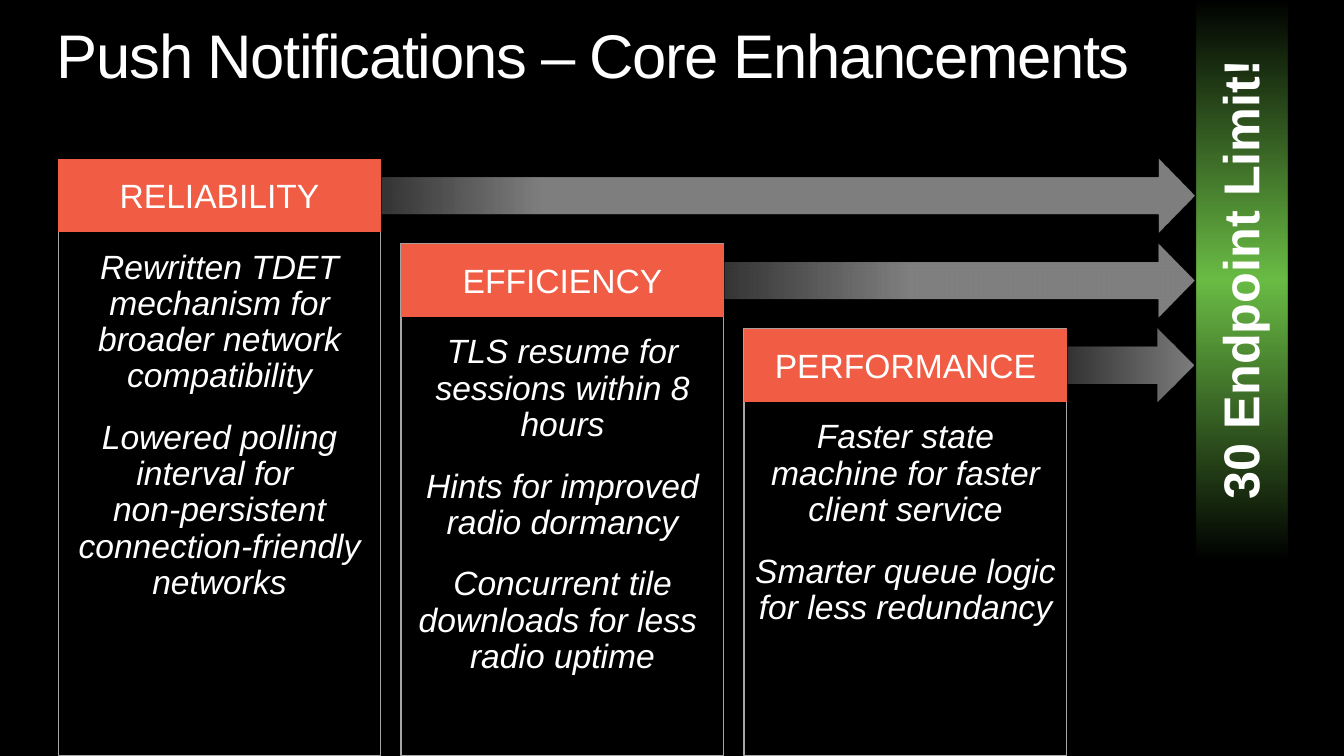
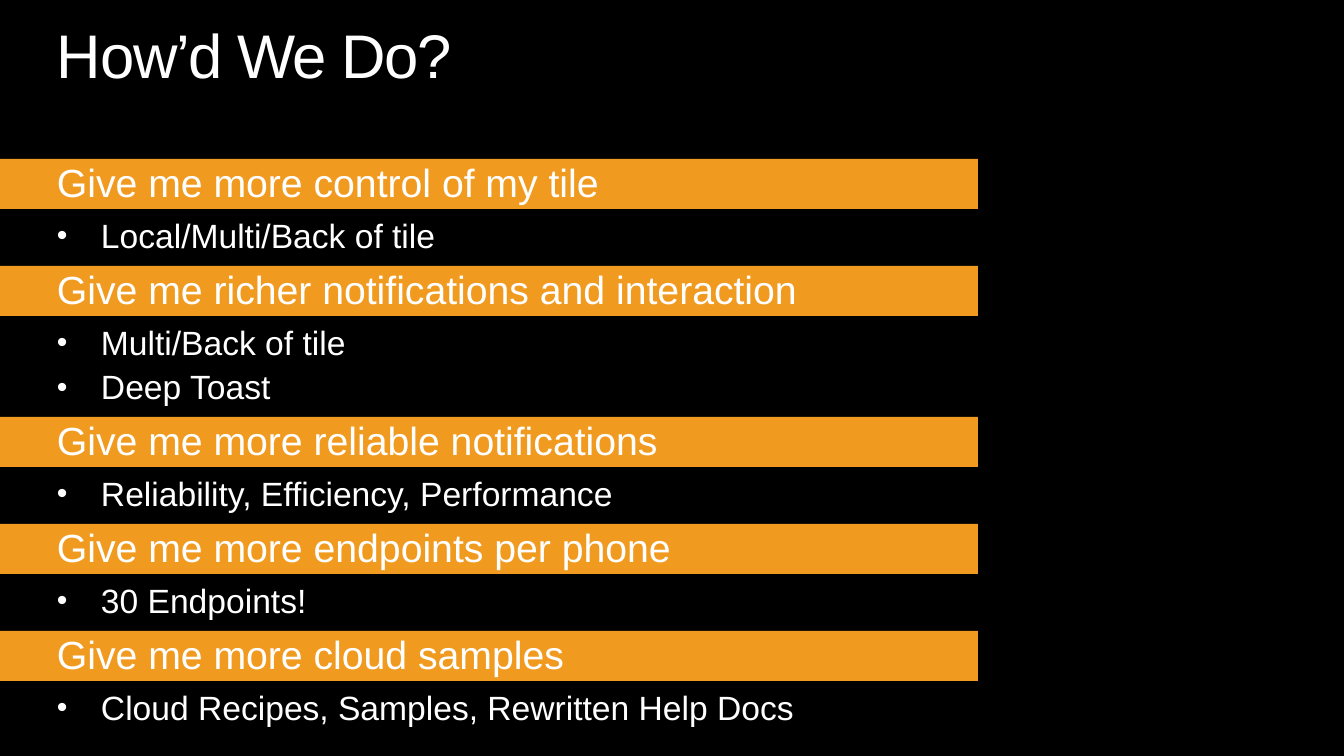
from pptx import Presentation
from pptx.dml.color import RGBColor
from pptx.enum.shapes import MSO_SHAPE
from pptx.enum.text import MSO_ANCHOR, MSO_AUTO_SIZE, PP_ALIGN
from pptx.oxml import parse_xml
from pptx.oxml.ns import nsdecls, qn
from pptx.util import Emu, Pt

EMU_PER_PX = 914400 / 100.8
SLIDE_W, SLIDE_H = 1344, 756
MARGIN, CONTENT_TOP = 57, 159

FONT = "Arial"
BLACK = RGBColor(0x00, 0x00, 0x00)
WHITE = RGBColor(0xFF, 0xFF, 0xFF)
GREY = RGBColor(0xA6, 0xA6, 0xA6)
RED = RGBColor(0xF1, 0x5C, 0x44)
GREEN = RGBColor(0x6B, 0xBD, 0x46)
ORANGE = RGBColor(0xF0, 0x9B, 0x20)


def px(length):
    return Emu(round(length * EMU_PER_PX))


class Deck:
    """Holds the shared style and the slide being built."""

    def __init__(self):
        self.prs = Presentation()
        self.prs.slide_width, self.prs.slide_height = px(SLIDE_W), px(SLIDE_H)
        background = self.prs.slide_master.background.fill
        background.solid()
        background.fore_color.rgb = BLACK
        self.slide = None

    def new_slide(self, title):
        self.slide = self.prs.slides.add_slide(self.prs.slide_layouts[5])
        heading = self.slide.shapes.title
        heading.left, heading.top = px(MARGIN), px(25)
        heading.width, heading.height = px(1229), px(68)
        self.set_text(heading, [title], 44, anchor=MSO_ANCHOR.TOP)
        for run in heading.text_frame.paragraphs[0].runs:
            run.font._element.set("spc", "-100")

    def set_text(self, shape, lines, size, align=PP_ALIGN.LEFT, insets=(0, 0, 0, 0),
                 anchor=MSO_ANCHOR.MIDDLE, gap=0, spacing=0.9, bold=False, italic=False):
        frame = shape.text_frame
        frame.word_wrap = True
        frame.auto_size = MSO_AUTO_SIZE.NONE
        frame.vertical_anchor = anchor
        (frame.margin_left, frame.margin_top,
         frame.margin_right, frame.margin_bottom) = map(px, insets)
        for number, line in enumerate(lines):
            paragraph = frame.add_paragraph() if number else frame.paragraphs[0]
            paragraph.alignment = align
            paragraph.line_spacing = spacing
            paragraph.space_before = Pt(gap if number else 0)
            for part_number, part in enumerate(line.split("\n")):
                if part_number:
                    paragraph.add_line_break()
                run = paragraph.add_run()
                run.text = part
                run.font.name, run.font.size = FONT, Pt(size)
                run.font.bold, run.font.italic = bold, italic
                run.font.color.rgb = WHITE

    def shape(self, left, top, width, height, fill=None, kind=MSO_SHAPE.RECTANGLE):
        shape = self.slide.shapes.add_shape(kind, px(left), px(top), px(width), px(height))
        shape.shadow.inherit = False
        shape.line.fill.background()
        if fill is not None:
            shape.fill.solid()
            shape.fill.fore_color.rgb = fill
        return shape

    def gradient(self, shape, color, stops, angle=0):
        """Fill with one colour; stops are (position %, opacity %)."""
        marks = "".join(
            f'<a:gs pos="{position * 1000}"><a:srgbClr val="{color}">'
            f'<a:alpha val="{opacity * 1000}"/></a:srgbClr></a:gs>'
            for position, opacity in stops)
        shape.fill.gradient()
        old = shape._element.spPr.find(qn("a:gradFill"))
        old.getparent().replace(old, parse_xml(
            f'<a:gradFill {nsdecls("a")} rotWithShape="1"><a:gsLst>{marks}</a:gsLst>'
            f'<a:lin ang="{angle * 60000}" scaled="0"/></a:gradFill>'))

    def arrow(self, left, top, right, height, fade_end):
        arrow = self.shape(left, top, right - left, height, kind=MSO_SHAPE.RIGHT_ARROW)
        self.gradient(arrow, WHITE, [(0, 20), (fade_end, 50)])

    def card(self, left, top, width, header_height, name, points):
        body = self.shape(left, top, width, SLIDE_H - top)
        self.gradient(body, BLACK, [(0, 60), (50, 40), (92, 0)], angle=90)
        body.line.color.rgb = GREY
        body.line.width = Pt(0.75)
        self.set_text(body, points, 24, PP_ALIGN.CENTER, (10, 91, 10, 5),
                      MSO_ANCHOR.TOP, gap=18, italic=True)
        header = self.shape(left, top, width, header_height, RED)
        self.set_text(header, [name], 24, PP_ALIGN.CENTER, (10, 5, 10, 5), spacing=1.0)

    def side_banner(self, text):
        banner = self.shape(963, 234, 558, 91)
        banner.rotation = 270
        self.gradient(banner, GREEN, [(0, 0), (50, 100), (100, 0)])
        self.set_text(banner, [text], 36, PP_ALIGN.CENTER, (20, 7, 20, 5), bold=True)

    def band(self, top, text):
        band = self.shape(0, top, 978, 50, ORANGE)
        self.set_text(band, [text], 28, insets=(MARGIN, 2, 10, 0))

    def bullets(self, top, height, items):
        box = self.slide.shapes.add_textbox(px(MARGIN), px(top), px(907), px(height))
        self.set_text(box, items, 24, anchor=MSO_ANCHOR.TOP, gap=6)
        for paragraph in box.text_frame.paragraphs:
            properties = paragraph._p.get_or_add_pPr()
            properties.set("marL", str(px(44)))
            properties.set("indent", str(-px(44)))
            for tag, value in (("buSzPct", 'val="90000"'),
                               ("buFont", f'typeface="{FONT}"'),
                               ("buChar", 'char="•"')):
                properties.append(parse_xml(f'<a:{tag} {nsdecls("a")} {value}/>'))


def build_enhancements(deck):
    deck.new_slide("Push Notifications – Core Enhancements")
    card_width, header_height, arrow_tip = 323, 73, 1194
    enhancements = [
        ("RELIABILITY", 20, [
            "Rewritten TDET mechanism for broader network compatibility",
            "Lowered polling interval for \nnon-persistent connection-friendly networks"]),
        ("EFFICIENCY", 40, [
            "TLS resume for sessions within 8 hours",
            "Hints for improved radio dormancy",
            "Concurrent tile downloads for less \nradio uptime"]),
        ("PERFORMANCE", 100, [
            "Faster state machine for faster client service",
            "Smarter queue logic for less redundancy"]),
    ]
    # Stepped cards, each with an arrow to the banner
    for step, (name, fade_end, points) in enumerate(enhancements):
        left, top = 58 + 343 * step, CONTENT_TOP + 85 * step
        deck.arrow(left + card_width, top, arrow_tip, header_height, fade_end)
        deck.card(left, top, card_width, header_height, name, points)
    deck.side_banner("30 Endpoint Limit!")


def build_review(deck):
    deck.new_slide("How’d We Do?")
    requests = [
        ("Give me more control of my tile", ["Local/Multi/Back of tile"]),
        ("Give me richer notifications and interaction",
         ["Multi/Back of tile", "Deep Toast"]),
        ("Give me more reliable notifications", ["Reliability, Efficiency, Performance"]),
        ("Give me more endpoints per phone", ["30 Endpoints!"]),
        ("Give me more cloud samples", ["Cloud Recipes, Samples, Rewritten Help Docs"]),
    ]
    # Each request band is followed by its answers
    top, row = CONTENT_TOP, 44
    for request, answers in requests:
        deck.band(top, request)
        deck.bullets(top + 60, row * len(answers) - 8, answers)
        top += 63 + row * len(answers)


def main():
    deck = Deck()
    build_enhancements(deck)
    build_review(deck)
    deck.prs.save("out.pptx")


if __name__ == "__main__":
    main()
